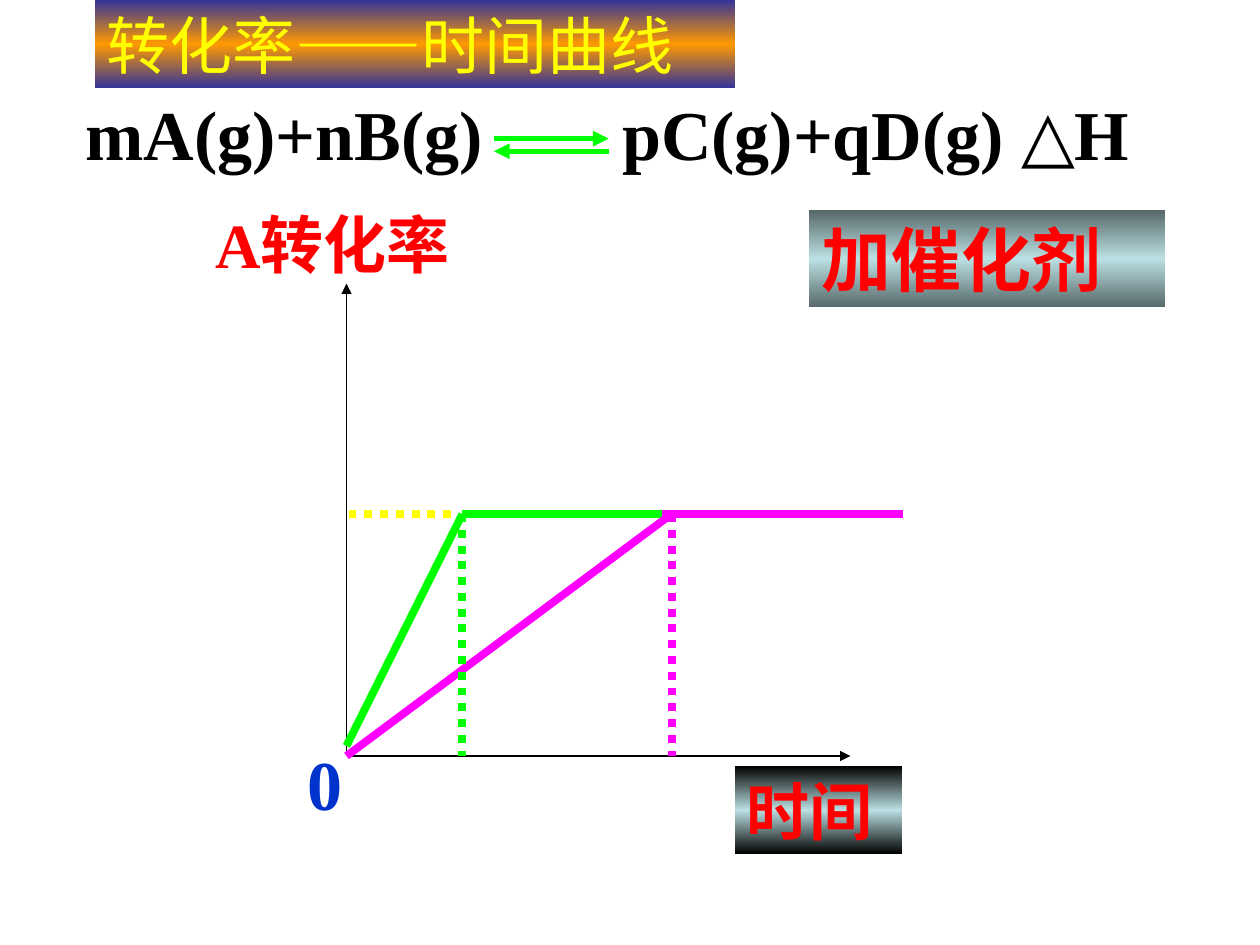
"""Build the slide on conversion against time with and without a catalyst."""
import copy
import dataclasses
import typing

import lxml.etree
import pptx
import pptx.dml.color
import pptx.enum.dml
import pptx.enum.shapes
import pptx.enum.text
import pptx.oxml.ns
import pptx.util

Inches = pptx.util.Inches
HUES = {
    "black": "000000", "blue": "0033CC", "navy": "333399", "orange": "FF9900",
    "yellow": "FFFF00", "red": "FF0000", "green": "00FF00", "pink": "FF00FF",
    "ice": "BBE0E3", "slate": "576869",
}
FRAME = {
    "margin_left": Inches(0.1), "margin_right": Inches(0.1),
    "margin_top": Inches(0.05), "margin_bottom": Inches(0.05),
    "vertical_anchor": pptx.enum.text.MSO_ANCHOR.TOP,
    "auto_size": pptx.enum.text.MSO_AUTO_SIZE.SHAPE_TO_FIT_TEXT,
}
LEFT, FAST, SLOW, END = 2.75, 3.67, 5.33, 7.17
BASE, LEVEL = 6, 4.08


@dataclasses.dataclass
class Label:
    """A text with its box, look and optional edge and middle fill hues."""
    text: str
    box: tuple[float, float, float, float]
    size: int
    hue: str
    bold: bool = True
    wrap: bool = True
    fade: tuple[str, str] | None = None


@dataclasses.dataclass
class Line:
    """A straight line with its look."""
    start: tuple[float, float]
    end: tuple[float, float]
    hue: str
    width: float = 4.5
    arrow: bool = False
    dots: bool = False


LINES = [
    Line((LEFT, BASE), (LEFT, 2.25), "black", 0.75, arrow=True),
    Line((LEFT, BASE), (6.75, BASE), "black", 0.75, arrow=True),
    Line((3.92, 1.1), (4.83, 1.1), "green", 3, arrow=True),
    Line((4.83, 1.2), (3.92, 1.2), "green", 3, arrow=True),
    Line((LEFT, 5.92), (FAST, LEVEL), "green"),
    Line((FAST, LEVEL), (SLOW, LEVEL), "green"),
    Line((LEFT, BASE), (SLOW, LEVEL), "pink"),
    Line((5.25, LEVEL), (END, LEVEL), "pink"),
    Line((FAST, LEVEL), (FAST, BASE), "green", dots=True),
    Line((SLOW, LEVEL), (SLOW, BASE), "pink", dots=True),
    Line((3.58, LEVEL), (LEFT, LEVEL), "yellow", dots=True),
]
LABELS = [
    Label("0", (2.34, 5.83, 0.48, 0.77), 40, "blue", wrap=False),
    Label("转化率——时间曲线", (0.75, 0, 5.08, 0.7), 36, "yellow", bold=False,
          fade=("navy", "orange")),
    Label("mA(g)+nB(g)", (0.58, 0.67, 3.4, 0.77), 40, "black"),
    Label("pC(g)+qD(g) △H", (4.84, 0.67, 4.74, 0.77), 40, "black"),
    Label("A转化率", (1.61, 1.58, 2.18, 0.7), 36, "red", wrap=False),
    Label("时间", (5.83, 6.08, 1.33, 0.7), 36, "red", fade=("black", "ice")),
    Label("加催化剂", (6.42, 1.67, 2.83, 0.77), 40, "red", fade=("slate", "ice")),
]


def tint(name: str) -> pptx.dml.color.RGBColor:
    """Return the colour of a named hue."""
    return pptx.dml.color.RGBColor.from_string(HUES[name])


def apply(target: typing.Any, values: dict[str, typing.Any]) -> None:
    """Set each named attribute on the target."""
    for name, value in values.items():
        setattr(target, name, value)


def shade(shape: typing.Any, edge: str, mid: str) -> None:
    """Fill a shape with a vertical blend from edge to middle to edge."""
    fill = shape.fill
    fill.gradient()
    fill.gradient_angle = 270
    stops = next(shape._element.spPr.iter(pptx.oxml.ns.qn("a:gsLst")))
    stops.insert(1, copy.deepcopy(stops[0]))
    for stop, name, place in zip(fill.gradient_stops, (edge, mid, edge), (0, 0.5, 1)):
        stop.color.rgb = tint(name)
        stop.position = place


def write(shapes: typing.Any, label: Label) -> None:
    """Draw a label as a text box or a blended rectangle."""
    box = [Inches(part) for part in label.box]
    if label.fade:
        shape = shapes.add_shape(pptx.enum.shapes.MSO_SHAPE.RECTANGLE, *box)
        shape.shadow.inherit = False
        shape.line.fill.background()
        shade(shape, *label.fade)
    else:
        shape = shapes.add_textbox(*box)
    frame = shape.text_frame
    apply(frame, FRAME | {"word_wrap": label.wrap})
    para = frame.paragraphs[0]
    para.alignment = pptx.enum.text.PP_ALIGN.LEFT
    run = para.add_run()
    run.text = label.text
    apply(run.font, {"name": "Times New Roman", "bold": label.bold,
                     "size": pptx.util.Pt(label.size)})
    run.font.color.rgb = tint(label.hue)


def draw(shapes: typing.Any, line: Line) -> None:
    """Draw a line with its dots or arrowhead."""
    ends = [Inches(part) for part in line.start + line.end]
    join = shapes.add_connector(pptx.enum.shapes.MSO_CONNECTOR.STRAIGHT, *ends)
    join.line.color.rgb = tint(line.hue)
    join.line.width = pptx.util.Pt(line.width)
    if line.dots:
        join.line.dash_style = pptx.enum.dml.MSO_LINE.ROUND_DOT
    qn = pptx.oxml.ns.qn
    if line.arrow:
        lxml.etree.SubElement(join.line._get_or_add_ln(), qn("a:tailEnd"), type="triangle")
    lxml.etree.SubElement(join._element.spPr, qn("a:effectLst"))


def main() -> None:
    """Build and save the slide."""
    deck = pptx.Presentation()
    apply(deck, {"slide_width": Inches(10), "slide_height": Inches(7.5)})
    shapes = deck.slides.add_slide(deck.slide_layouts[6]).shapes
    for line in LINES:
        draw(shapes, line)
    for label in LABELS:
        write(shapes, label)
    deck.save("out.pptx")


if __name__ == "__main__":
    main()
